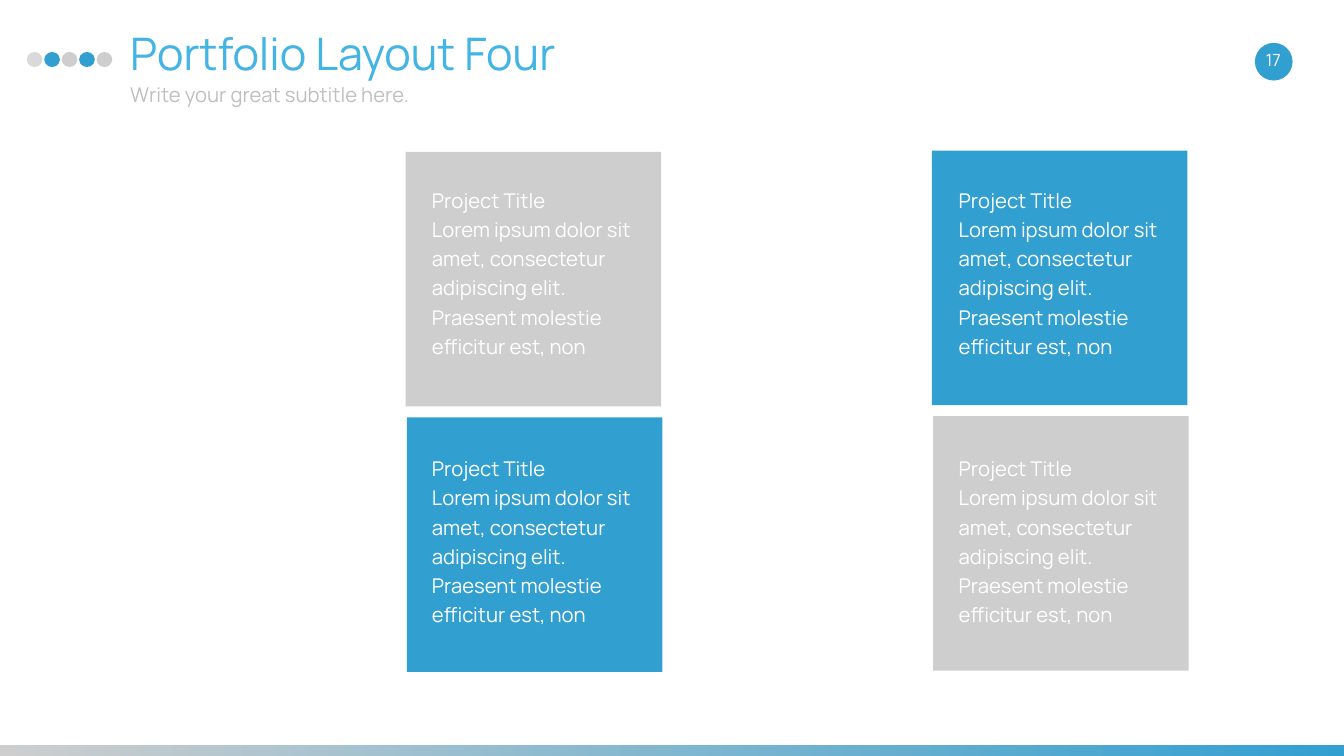
"""Build a portfolio slide with four project cards in a checkerboard of blue and grey."""
from dataclasses import dataclass
from itertools import product

from pptx import Presentation
from pptx.dml.color import RGBColor
from pptx.enum.shapes import MSO_SHAPE
from pptx.enum.text import MSO_ANCHOR, MSO_AUTO_SIZE, PP_ALIGN
from pptx.util import Cm, Pt

RECTANGLE, OVAL = MSO_SHAPE.RECTANGLE, MSO_SHAPE.OVAL
TOP, MIDDLE = MSO_ANCHOR.TOP, MSO_ANCHOR.MIDDLE
LEFT, CENTER = PP_ALIGN.LEFT, PP_ALIGN.CENTER
NO_FIT = MSO_AUTO_SIZE.NONE

FONT = "Manrope"
COLORS = {
    "blue": "329FD1",
    "grey": "CECECE",
    "pale": "D9D9D9",
    "title": "43B4E3",
    "subtitle": "BFBFBF",
    "white": "FFFFFF",
}
DOTS = ["pale", "blue", "grey", "blue", "grey"]
PROJECT = [
    "Project Title",
    "Lorem ipsum dolor sit amet, consectetur adipiscing elit. "
    "Praesent molestie efficitur est, non",
]


@dataclass
class Area:
    left: float
    top: float
    width: float
    height: float

    def lengths(self) -> tuple:
        return Cm(self.left), Cm(self.top), Cm(self.width), Cm(self.height)


@dataclass
class Style:
    size: float
    color: str
    align: PP_ALIGN = LEFT
    anchor: MSO_ANCHOR = TOP
    spacing: float = 1.0


def rgb(name: str) -> RGBColor:
    return RGBColor.from_string(COLORS[name])


def add_block(page, kind: MSO_SHAPE, area: Area, color: str):
    block = page.shapes.add_shape(kind, *area.lengths())
    block.shadow.inherit = False
    block.fill.solid()
    block.fill.fore_color.rgb = rgb(color)
    block.line.fill.background()
    return block


def write(box, area: Area, lines: list[str], style: Style) -> None:
    box.left, box.top, box.width, box.height = area.lengths()
    frame = box.text_frame
    frame.word_wrap = True
    frame.auto_size = NO_FIT
    frame.vertical_anchor = style.anchor
    frame.margin_left = frame.margin_right = Cm(0.69)
    frame.margin_top = frame.margin_bottom = Cm(0.33)
    for index, line in enumerate(lines):
        para = frame.add_paragraph() if index else frame.paragraphs[0]
        para.alignment = style.align
        para.line_spacing = style.spacing
        para.space_before = Pt(0)
        span = para.add_run()
        span.text = line
        span.font.name = FONT
        span.font.size = Pt(style.size)
        span.font.color.rgb = rgb(style.color)


def add_text(page, area: Area, lines: list[str], style: Style) -> None:
    write(page.shapes.add_textbox(*area.lengths()), area, lines, style)


def add_footer_bar(page) -> None:
    bar = add_block(page, RECTANGLE, Area(0, 37.57, 67.74, 0.97), "grey")
    bar.fill.gradient()
    bar.fill.gradient_angle = 0
    for stop, color in zip(bar.fill.gradient_stops, ["grey", "blue"]):
        stop.color.rgb = rgb(color)


def add_card(page, row: int, column: int) -> None:
    left = 20.45 + 26.52 * column + 0.06 * row
    top = 7.65 - 0.06 * column + 13.38 * row
    color = "blue" if (row + column) % 2 else "grey"
    add_block(page, RECTANGLE, Area(left, top, 12.88, 12.83), color)
    text_area = Area(21.08 + 26.55 * column, 8.89 + 13.53 * row, 11.68, 9.68)
    add_text(page, text_area, PROJECT, Style(29, "white", spacing=1.2))


def main() -> None:
    deck = Presentation()
    deck.slide_width, deck.slide_height = Cm(67.74), Cm(38.1)
    page = deck.slides.add_slide(deck.slide_layouts[0])

    add_footer_bar(page)
    for index, color in enumerate(DOTS):
        add_block(page, OVAL, Area(1.35 + 0.88 * index, 2.62, 0.79, 0.76), color)

    title, subtitle = page.placeholders
    write(title, Area(5.87, 0.94, 53.98, 4.06), ["Portfolio Layout Four"], Style(64, "title"))
    write(subtitle, Area(5.87, 3.81, 53.98, 2.16), ["Write your great subtitle here."],
          Style(29, "subtitle"))

    add_block(page, OVAL, Area(63.25, 2.16, 1.9, 1.9), "blue")
    add_text(page, Area(62.69, 1.98, 2.97, 2.03), ["17"], Style(24, "white", CENTER, MIDDLE))

    for row, column in product(range(2), repeat=2):
        add_card(page, row, column)

    deck.save("out.pptx")


if __name__ == "__main__":
    main()
